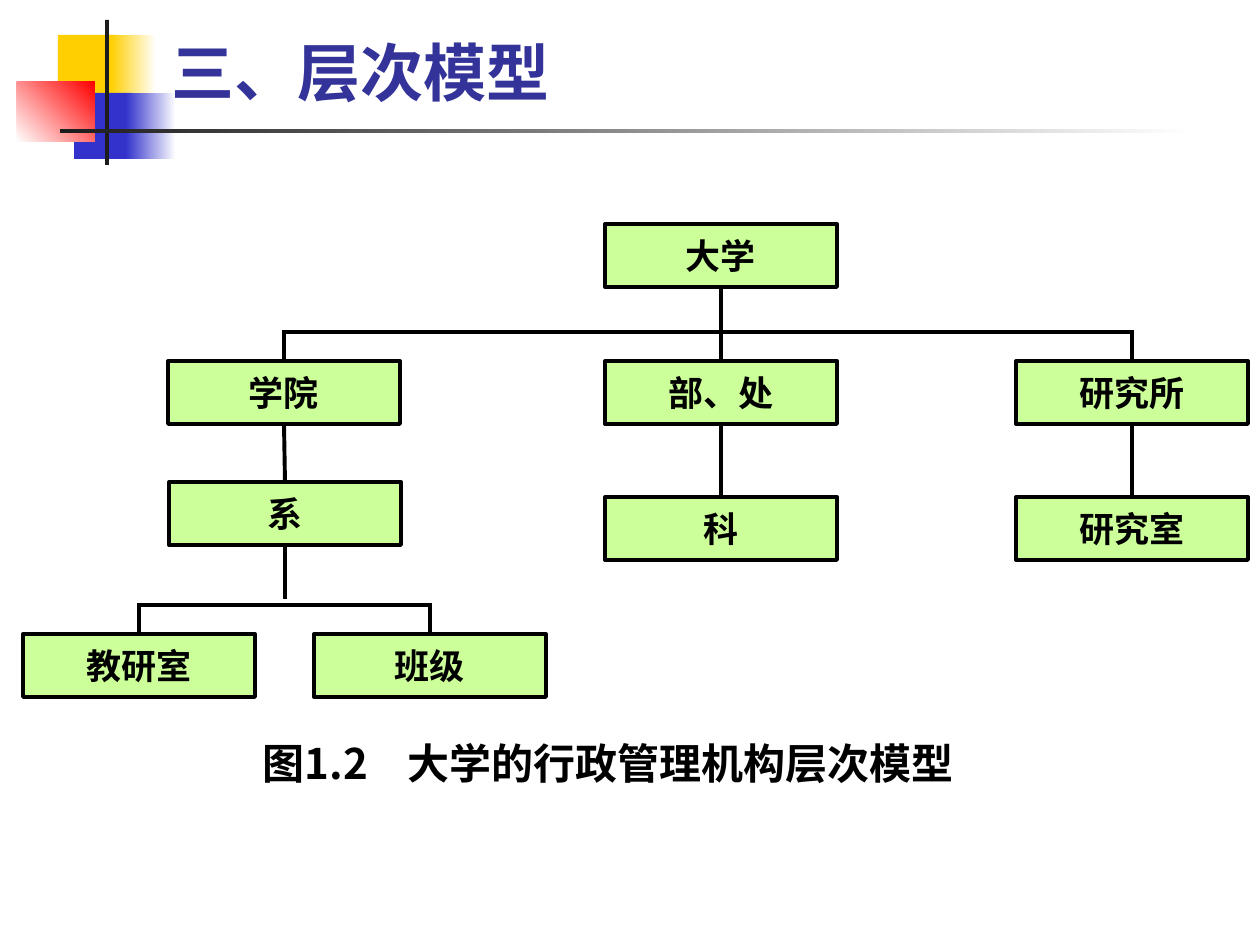
from lxml.etree import SubElement
from pptx import Presentation
from pptx.dml.color import RGBColor
from pptx.enum.shapes import MSO_CONNECTOR, MSO_SHAPE
from pptx.enum.text import MSO_ANCHOR, PP_ALIGN
from pptx.oxml.ns import qn
from pptx.util import Emu, Pt

PX = 914400 / 126
WHITE = RGBColor(0xFF, 0xFF, 0xFF)
BLACK = RGBColor(0x00, 0x00, 0x00)
YELLOW = RGBColor(0xFF, 0xCF, 0x01)
BLUE = RGBColor(0x33, 0x33, 0xCC)
RED = RGBColor(0xFF, 0x00, 0x00)
CHARCOAL = RGBColor(0x1C, 0x1C, 0x1C)
LIME = RGBColor(0xCC, 0xFF, 0x99)
INDIGO = RGBColor(0x33, 0x33, 0x99)
CJK_FONT = "Noto Sans CJK SC"
TOP, BOTTOM = 0, 2
NODE_WIDTH, NODE_HEIGHT = 232, 63


def px(value):
    """Turn pixels into EMU."""
    return Emu(round(value * PX))


def add_box(page, left, top, width, height, color, end_color=None, angle=0):
    """Add a borderless rectangle with a plain or two-colour fill."""
    box = page.shapes.add_shape(
        MSO_SHAPE.RECTANGLE, px(left), px(top), px(width), px(height))
    box.shadow.inherit = False
    box.line.fill.background()
    if end_color is None:
        box.fill.solid()
        box.fill.fore_color.rgb = color
    else:
        box.fill.gradient()
        box.fill.gradient_angle = angle
        for stop, stop_color in zip(box.fill.gradient_stops, (color, end_color)):
            stop.color.rgb = stop_color
    return box


def write(text_frame, text, size, font_name, color, anchor):
    """Write one bold paragraph and return it."""
    text_frame.text = text
    text_frame.vertical_anchor = anchor
    para = text_frame.paragraphs[0]
    for span in para.runs:
        span.font.size = Pt(size)
        span.font.name = font_name
        span.font.bold = True
        span.font.color.rgb = color
        SubElement(span.font._element, qn("a:ea"), typeface=CJK_FONT)
    return para


def add_text(page, left, top, width, height):
    """Add a wrapping text box and return its frame."""
    text_frame = page.shapes.add_textbox(
        px(left), px(top), px(width), px(height)).text_frame
    text_frame.word_wrap = True
    return text_frame


def add_ornament(page, left, top):
    """Draw the coloured squares and the crossed bars beside the title."""
    add_box(page, left + 41, top + 15, 60, 66, YELLOW)
    add_box(page, left + 94, top + 15, 45, 66, YELLOW, WHITE)
    add_box(page, left + 57, top + 73, 58, 66, BLUE)
    add_box(page, left + 109, top + 73, 50, 66, BLUE, WHITE)
    add_box(page, left, top + 62, 78, 60, WHITE, RED, 45)
    add_box(page, left + 88, top, 4, 145, CHARCOAL)
    add_box(page, left + 43, top + 109, 1134, 4, CHARCOAL, WHITE)


def add_title(page, left, top, width, height):
    """Write the slide title."""
    text_frame = add_text(page, left, top, width, height)
    write(text_frame, "三、层次模型", 36, "Cabin", INDIGO, MSO_ANCHOR.BOTTOM)


def add_node(page, left, top, label):
    """Add one labelled unit of the hierarchy."""
    node = add_box(page, left, top, NODE_WIDTH, NODE_HEIGHT, LIME)
    node.line.color.rgb = BLACK
    node.line.width = Pt(2.25)
    text_frame = node.text_frame
    text_frame.margin_left = text_frame.margin_right = 0
    text_frame.word_wrap = False
    para = write(text_frame, label, 20, "Arial", BLACK, MSO_ANCHOR.MIDDLE)
    para.alignment = PP_ALIGN.CENTER
    return node


def add_line(page, x1, y1, x2, y2, upper=None, lower=None):
    """Draw a line, joined to the upper and lower nodes where given."""
    line = page.shapes.add_connector(
        MSO_CONNECTOR.STRAIGHT, px(x1), px(y1), px(x2), px(y2))
    line.line.color.rgb = BLACK
    line.line.width = Pt(2.25)
    SubElement(line._element.spPr, qn("a:effectLst"))
    if upper is not None:
        line.begin_connect(upper, BOTTOM)
    if lower is not None:
        line.end_connect(lower, TOP)


def add_bracket(page, first, last, y):
    """Draw a bar at y with a drop to the first and last node."""
    centers = [(node.left + node.width / 2) / PX for node in (first, last)]
    add_line(page, centers[0] - 2, y, centers[1] + 2, y)
    for node, center in zip((first, last), centers):
        add_line(page, center, y, center, node.top / PX, lower=node)


def add_hierarchy(page, left, top):
    """Draw the tree of university units."""
    places = {
        "大学": (582, 0),
        "学院": (145, 137), "部、处": (582, 137), "研究所": (993, 137),
        "系": (146, 258), "科": (582, 273), "研究室": (993, 273),
        "教研室": (0, 410), "班级": (291, 410),
    }
    nodes = {label: add_node(page, left + x, top + y, label)
             for label, (x, y) in places.items()}
    links = [("大学", "部、处"), ("学院", "系"), ("部、处", "科"), ("研究所", "研究室")]
    for upper, lower in links:
        add_line(page, 0, 0, 0, 0, nodes[upper], nodes[lower])
    add_bracket(page, nodes["学院"], nodes["研究所"], top + 108)
    add_bracket(page, nodes["教研室"], nodes["班级"], top + 381)
    stem = left + places["系"][0] + NODE_WIDTH / 2
    add_line(page, stem, top + 321, stem, top + 375, upper=nodes["系"])


def add_caption(page, left, top, width, height):
    """Write the figure caption, with a tab after its number."""
    text_frame = add_text(page, left, top, width, height)
    text_frame.margin_left = text_frame.margin_right = 0
    para = write(text_frame, "图1.2\t大学的行政管理机构层次模型", 24, CJK_FONT,
                 BLACK, MSO_ANCHOR.MIDDLE)
    tabs = SubElement(para._p.get_or_add_pPr(), qn("a:tabLst"))
    SubElement(tabs, qn("a:tab"), pos=str(px(145)), algn="l")


def main():
    """Build the slide and save it."""
    deck = Presentation()
    deck.slide_width, deck.slide_height = px(1260), px(945)
    page = deck.slides.add_slide(deck.slide_layouts[6])
    add_ornament(page, 17, 20)
    add_hierarchy(page, 23, 224)
    add_caption(page, 263, 731, 829, 63)
    add_title(page, 159, 29, 1074, 86)
    deck.save("out.pptx")


if __name__ == "__main__":
    main()
